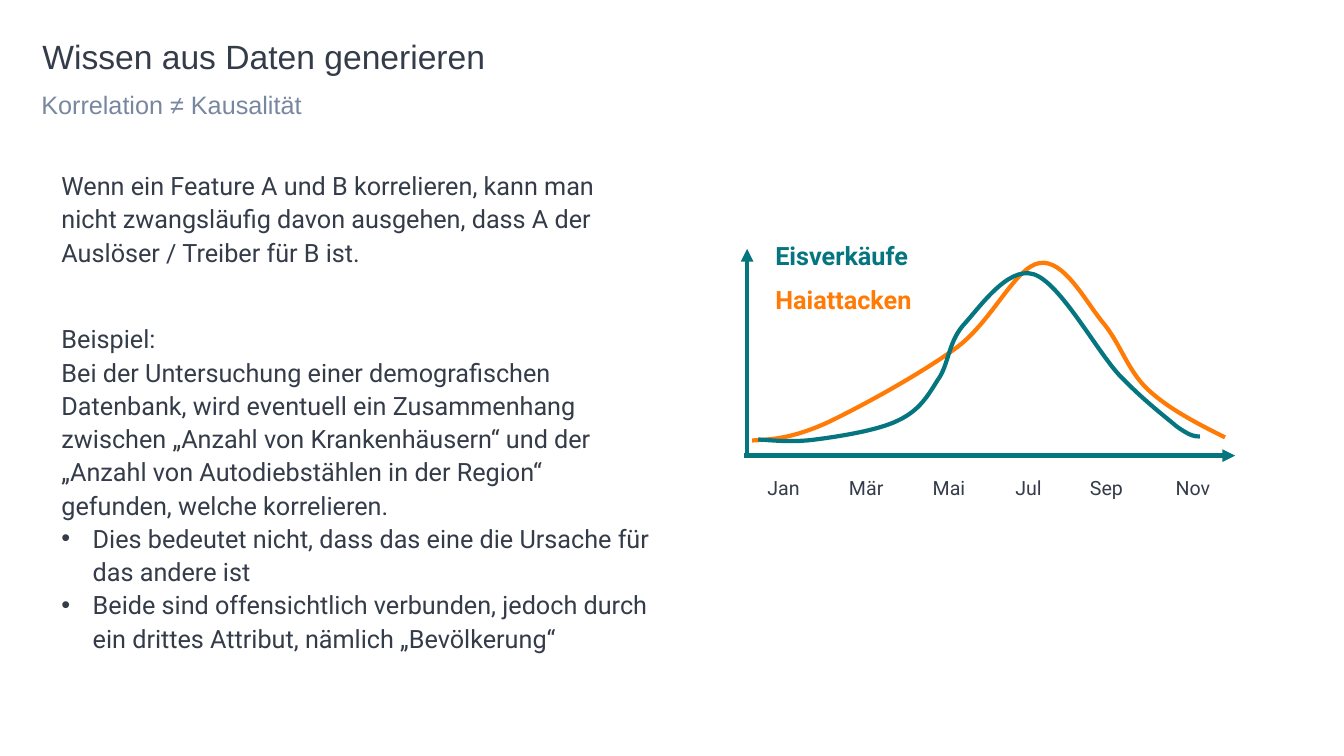
import pptx
import pptx.util
import pptx.dml.color
import pptx.enum.shapes
import pptx.enum.text
import pptx.oxml
import pptx.oxml.ns
from pptx.util import Inches

INK, GREY, TEAL, ORANGE = "343C49", "78879F", "05767F", "FF7B06"


def color(text):
    return pptx.dml.color.RGBColor.from_string(text)


def child(parent, tag, **attrs):
    """Append a DrawingML element to parent."""
    node = pptx.oxml.parse_xml(f"<a:{tag} {pptx.oxml.ns.nsdecls('a')}/>")
    for key, value in attrs.items():
        node.set(key, str(value))
    parent.append(node)
    return node


class Deck:
    font = "Roboto"
    pad = 0.2
    width = 3

    def __init__(self, slide):
        self.slide = slide

    def fill(self, shape, lines, size, ink, font=None, bold=False, leading=1.1,
             after=0, pads=None, bullets=0):
        """Write the lines; the last ones, as many as bullets, get a bullet."""
        frame = shape.text_frame
        frame.text = "\n".join(lines)
        frame.vertical_anchor = pptx.enum.text.MSO_ANCHOR.TOP
        pads = pads or [self.pad] * 4
        frame.margin_left, frame.margin_top, frame.margin_right, frame.margin_bottom = map(Inches, pads)
        for i, par in enumerate(frame.paragraphs):
            listed = i >= len(lines) - bullets
            props = par._p.get_or_add_pPr()
            hang = Inches(0.31) if listed else 0
            props.set("marL", str(hang))
            props.set("indent", str(-hang))
            if listed:
                child(props, "buFont", typeface="Arial")
                child(props, "buChar", char="•")
            else:
                child(props, "buNone")
            par.alignment = pptx.enum.text.PP_ALIGN.LEFT
            par.line_spacing = leading
            par.space_before = pptx.util.Pt(0)
            par.space_after = pptx.util.Pt(after)
            for run in par.runs:
                run.font.size = pptx.util.Pt(size)
                run.font.name = font or self.font
                run.font.bold = bold
                run.font.color.rgb = color(ink)

    def holder(self, idx, box, lines, size, ink, **style):
        shape = self.slide.placeholders[idx]
        shape.left, shape.top, shape.width, shape.height = map(Inches, box)
        self.fill(shape, lines, size, ink, **style)
        shape.text_frame.auto_size = pptx.enum.text.MSO_AUTO_SIZE.NONE

    def text(self, box, line, size, ink, wrap=False, **style):
        shape = self.slide.shapes.add_textbox(*map(Inches, box))
        self.fill(shape, [line], size, ink, **style)
        shape.text_frame.word_wrap = wrap
        shape.text_frame.auto_size = pptx.enum.text.MSO_AUTO_SIZE.SHAPE_TO_FIT_TEXT

    def stroke(self, shape, ink):
        shape.line.color.rgb = color(ink)
        shape.line.width = pptx.util.Pt(self.width)

    def arrow(self, start, end, ink):
        line = self.slide.shapes.add_connector(
            pptx.enum.shapes.MSO_CONNECTOR.STRAIGHT, *map(Inches, start + end))
        self.stroke(line, ink)
        child(line.line._get_or_add_ln(), "tailEnd", type="triangle")
        child(line._element.spPr, "effectLst")

    def curve(self, points, ink):
        """Draw a Bézier curve: a start, then two handles and an end per part."""
        spots = [(Inches(x), Inches(y)) for x, y in points]
        pen = self.slide.shapes.build_freeform(*spots[0])
        pen.add_line_segments(spots[1:], close=False)
        shape = pen.convert_to_shape()
        trace = shape._element.spPr.find(".//" + pptx.oxml.ns.qn("a:path"))
        steps = trace.findall(pptx.oxml.ns.qn("a:lnTo"))
        for i in range(0, len(steps), 3):
            bend = child(trace, "cubicBezTo")
            for step in steps[i:i + 3]:
                bend.append(step[0])
                trace.remove(step)
        shape.fill.background()
        shape.shadow.inherit = False
        self.stroke(shape, ink)


def main():
    show = pptx.Presentation()
    show.slide_width, show.slide_height = Inches(13.33), Inches(7.5)
    deck = Deck(show.slides.add_slide(show.slide_layouts[3]))

    deck.holder(0, (0.42, 0.4, 12.52, 0.41), ["Wissen aus Daten generieren"], 24, INK,
                font="Arial", leading=0.9, pads=(0, 0, 0.1, 0.05))
    deck.holder(1, (0.41, 0.81, 12.52, 0.49), ["Korrelation ≠ Kausalität"], 18, GREY,
                font="Arial", after=6, pads=(0, 0.05, 0.1, 0.05))
    deck.text((0.41, 1.46, 6.26, 1.37),
              "Wenn ein Feature A und B korrelieren, kann man nicht zwangsläufig davon "
              "ausgehen, dass A der Auslöser / Treiber für B ist.", 18, INK, wrap=True)
    deck.holder(2, (0.41, 2.98, 6.26, 3.7), [
        "Beispiel:",
        "Bei der Untersuchung einer demografischen Datenbank, wird eventuell ein "
        "Zusammenhang zwischen „Anzahl von Krankenhäusern“ und der „Anzahl von "
        "Autodiebstählen in der Region“ gefunden, welche korrelieren.",
        "Dies bedeutet nicht, dass das eine die Ursache für das andere ist",
        "Beide sind offensichtlich verbunden, jedoch durch ein drittes Attribut, "
        "nämlich „Bevölkerung“",
    ], 18, INK, bullets=2)

    sharks = [(7.46, 4.37),
              (7.66, 4.36), (7.85, 4.35), (8.19, 4.2),
              (8.53, 4.04), (9.15, 3.7), (9.5, 3.44),
              (9.85, 3.17), (10.07, 2.65), (10.31, 2.61),
              (10.55, 2.57), (10.76, 2.98), (10.93, 3.19),
              (11.11, 3.4), (11.18, 3.67), (11.38, 3.86),
              (11.58, 4.05), (11.87, 4.2), (12.15, 4.34)]
    ices = [(7.52, 4.36),
            (7.69, 4.37), (7.86, 4.39), (8.09, 4.36),
            (8.32, 4.33), (8.71, 4.27), (8.91, 4.17),
            (9.12, 4.07), (9.2, 3.93), (9.3, 3.77),
            (9.41, 3.62), (9.4, 3.41), (9.55, 3.23),
            (9.71, 3.06), (9.99, 2.64), (10.25, 2.72),
            (10.51, 2.8), (10.87, 3.47), (11.1, 3.72),
            (11.34, 3.97), (11.54, 4.12), (11.67, 4.23),
            (11.81, 4.33), (11.85, 4.33), (11.9, 4.33)]
    deck.curve(sharks, ORANGE)
    deck.curve(ices, TEAL)
    deck.arrow((7.41, 4.54), (7.41, 2.47), TEAL)
    deck.arrow((7.38, 4.52), (12.25, 4.52), TEAL)

    months = [("Jan", 7.41, 0.79), ("Mär", 8.22, 0.81), ("Mai", 9.05, 0.79),
              ("Jul", 9.87, 0.71), ("Sep", 10.61, 0.82), ("Nov", 11.46, 0.82)]
    for month, left, width in months:
        deck.text((left, 4.57, width, 0.73), month, 14, INK)
    for name, top, ink in [("Eisverkäufe", 2.19, TEAL), ("Haiattacken", 2.63, ORANGE)]:
        deck.text((7.49, top, 2, 0.81), name, 18, ink, bold=True)

    show.save("out.pptx")


if __name__ == "__main__":
    main()
